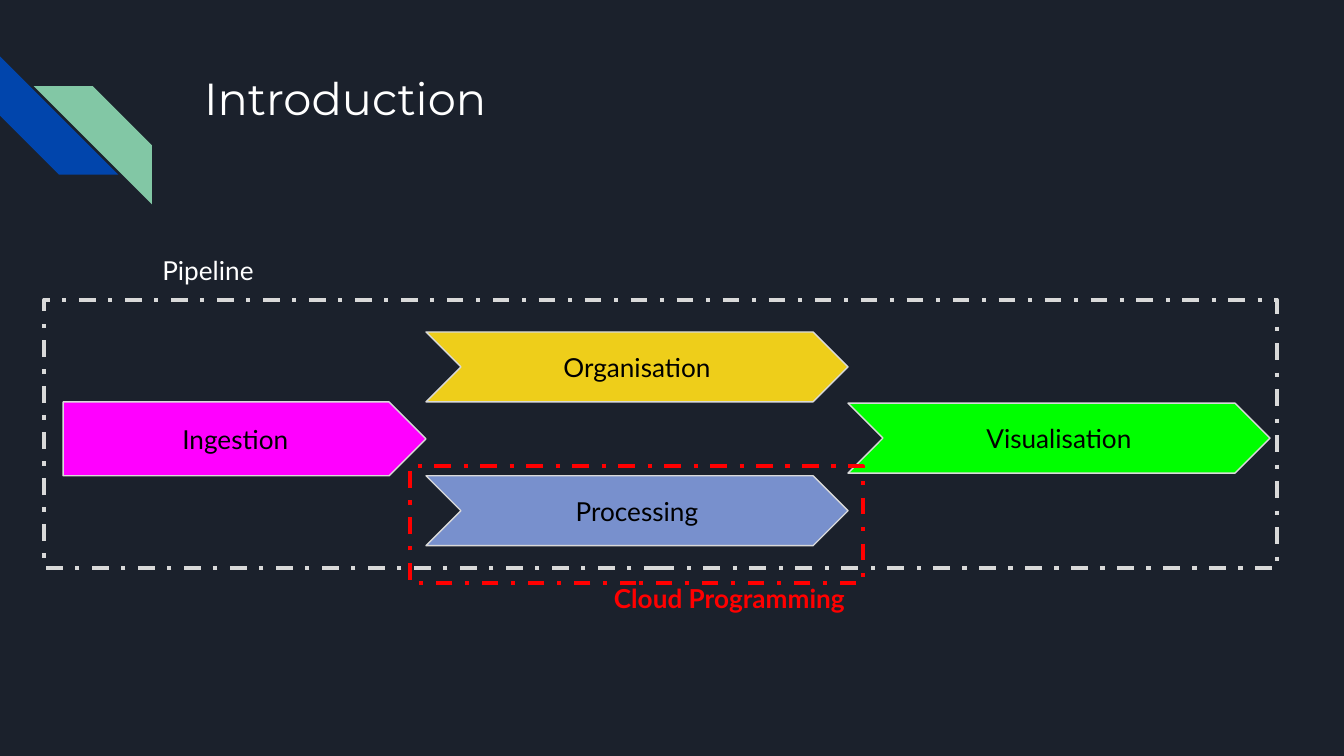
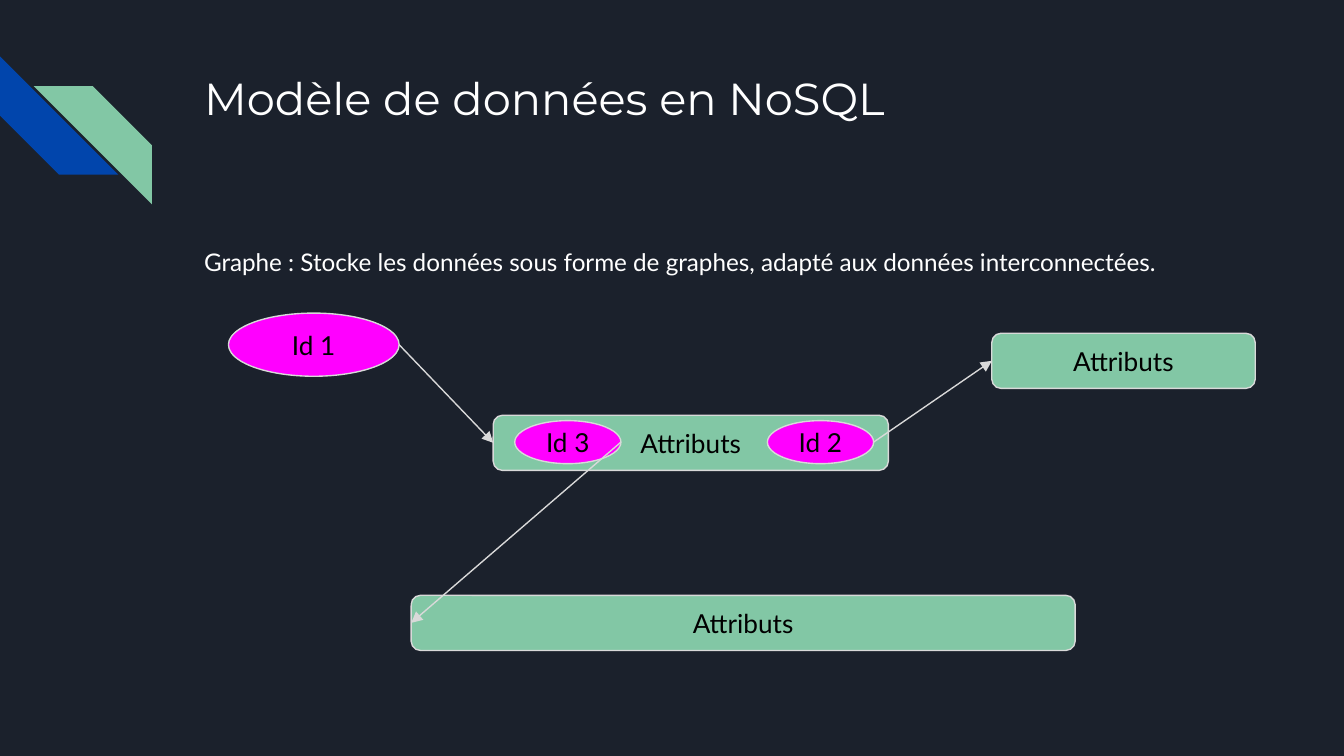
from lxml.etree import SubElement
from pptx import Presentation
from pptx.dml.color import RGBColor
from pptx.enum.dml import MSO_LINE_DASH_STYLE as Dash
from pptx.enum.shapes import MSO_CONNECTOR as Link, MSO_SHAPE as Shape
from pptx.enum.text import MSO_ANCHOR as Anchor, PP_ALIGN as Align
from pptx.oxml.ns import qn
from pptx.util import Pt

SCALE = 9144
WIDTH = 1000
INSET = 10

NAVY, BLUE, GREEN = "1B212C", "0145AC", "82C7A5"
WHITE, BLACK, GREY, RED = "FFFFFF", "000000", "D9D9D9", "FF0000"
PINK, YELLOW, PERIWINKLE, LIME = "FF00FF", "EECE1A", "7890CD", "00FF00"


def px(length):
    return length * SCALE


def rgb(color):
    return RGBColor.from_string(color)


class Slides:
    title_font = "Montserrat"
    body_font = "Lato"

    def __init__(self):
        self.deck = Presentation()
        self.deck.slide_width = px(WIDTH)
        self.deck.slide_height = px(WIDTH) * 9 // 16
        self.page = None
        fill = self.deck.slide_master.background.fill
        fill.solid()
        fill.fore_color.rgb = rgb(NAVY)

    def start(self, title):
        self.page = self.deck.slides.add_slide(self.deck.slide_layouts[6])
        self.shape(Shape.DIAGONAL_STRIPE, 0, 42, 88, 88, BLUE, None).rotation = 270
        stripe = self.shape(Shape.DIAGONAL_STRIPE, 25, 64, 88, 88, GREEN, None)
        stripe._element.spPr.find(qn("a:xfrm")).set("flipH", "1")
        self.text(title, 142, 43, 770, 100, size=24, font=self.title_font)

    def label(self, box, text, size=14, color=WHITE, font=body_font, bold=False):
        frame = box.text_frame
        frame.word_wrap = True
        frame.margin_left = frame.margin_right = px(INSET)
        frame.margin_top = frame.margin_bottom = px(INSET)
        frame.text = text
        para = frame.paragraphs[0]
        for span in para.runs:
            span.font.name = font
            span.font.size = Pt(size)
            span.font.bold = bold
            span.font.color.rgb = rgb(color)
        return para

    def text(self, text, left, top, width, height, **style):
        box = self.page.shapes.add_textbox(px(left), px(top), px(width), px(height))
        return self.label(box, text, **style)

    def stroke(self, line, color, weight):
        line.color.rgb = rgb(color)
        line.width = Pt(weight)

    def shape(self, kind, left, top, width, height, fill, line=GREY, weight=0.75):
        box = self.page.shapes.add_shape(kind, px(left), px(top), px(width), px(height))
        box.shadow.inherit = False
        if fill:
            box.fill.solid()
            box.fill.fore_color.rgb = rgb(fill)
        else:
            box.fill.background()
        if line:
            self.stroke(box.line, line, weight)
        else:
            box.line.fill.background()
        return box

    def node(self, kind, text, left, top, width, height, fill):
        box = self.shape(kind, left, top, width, height, fill)
        box.text_frame.vertical_anchor = Anchor.MIDDLE
        self.label(box, text, color=BLACK).alignment = Align.CENTER
        return box

    def frame(self, left, top, width, height, color):
        box = self.shape(Shape.RECTANGLE, left, top, width, height, None, color, 2.25)
        box.line.dash_style = Dash.DASH_DOT

    def arrow(self, source, target):
        arrow = self.page.shapes.add_connector(
            Link.STRAIGHT,
            source.left + source.width, source.top + source.height // 2,
            target.left, target.top + target.height // 2)
        arrow.end_connect(target, 1)
        self.stroke(arrow.line, GREY, 0.75)
        properties = arrow._element.spPr
        SubElement(properties.find(qn("a:ln")), qn("a:tailEnd"), type="triangle")
        SubElement(properties, qn("a:effectLst"))


def introduction(slides):
    slides.start("Introduction")
    slides.node(Shape.PENTAGON, "Ingestion", 47, 299, 270, 55, PINK)
    for name, left, top, fill in (
            ("Organisation", 317, 247, YELLOW),
            ("Processing", 317, 354, PERIWINKLE),
            ("Visualisation", 631, 300, LIME)):
        slides.node(Shape.CHEVRON, name, left, top, 314, 52, fill)
    slides.frame(33, 223, 917, 200, GREY)
    slides.text("Pipeline", 111, 179, 300, 44)
    slides.frame(305, 347, 337, 87, RED)
    slides.text("Cloud Programming", 447, 423, 337, 44, color=RED, bold=True)


def graph_model(slides):
    slides.start("Modèle de données en NoSQL")
    para = slides.text(
        "Graphe : Stocke les données sous forme de graphes, "
        "adapté aux données interconnectées.", 142, 171, 770, 55, size=13)
    para.line_spacing = 1.15
    para.space_after = Pt(12)
    centre, right, bottom = [
        slides.node(Shape.ROUNDED_RECTANGLE, "Attributs", left, top, width, 41, GREEN)
        for left, top, width in ((367, 309, 294), (738, 248, 196), (306, 443, 494))]
    first, second, third = [
        slides.node(Shape.OVAL, name, left, top, width, height, PINK)
        for name, left, top, width, height in (
            ("Id 1", 170, 233, 127, 47),
            ("Id 2", 571, 313, 79, 32),
            ("Id 3", 383, 313, 79, 32))]
    for source, target in ((first, centre), (second, right), (third, bottom)):
        slides.arrow(source, target)


def main():
    slides = Slides()
    introduction(slides)
    graph_model(slides)
    slides.deck.save("out.pptx")


if __name__ == "__main__":
    main()
